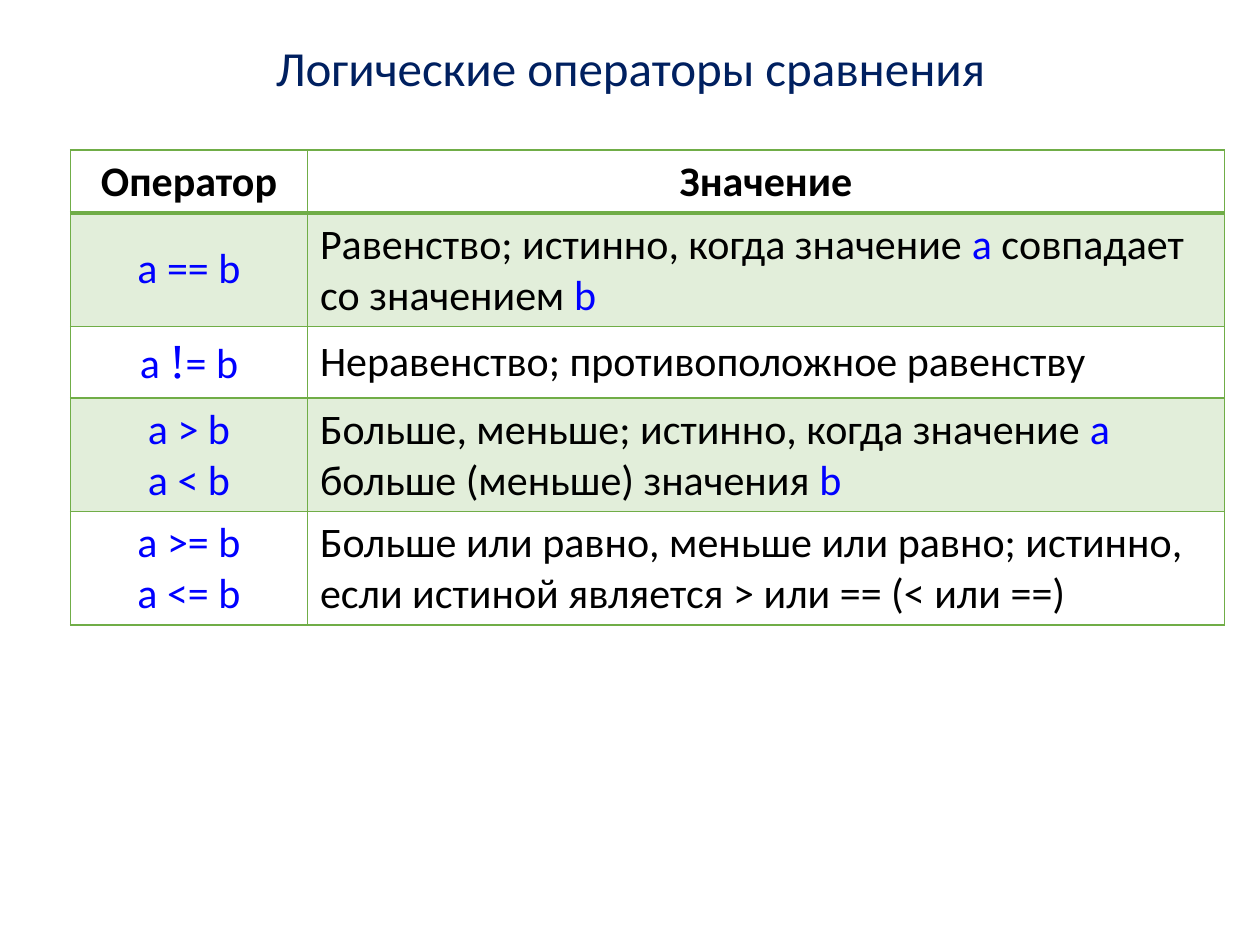
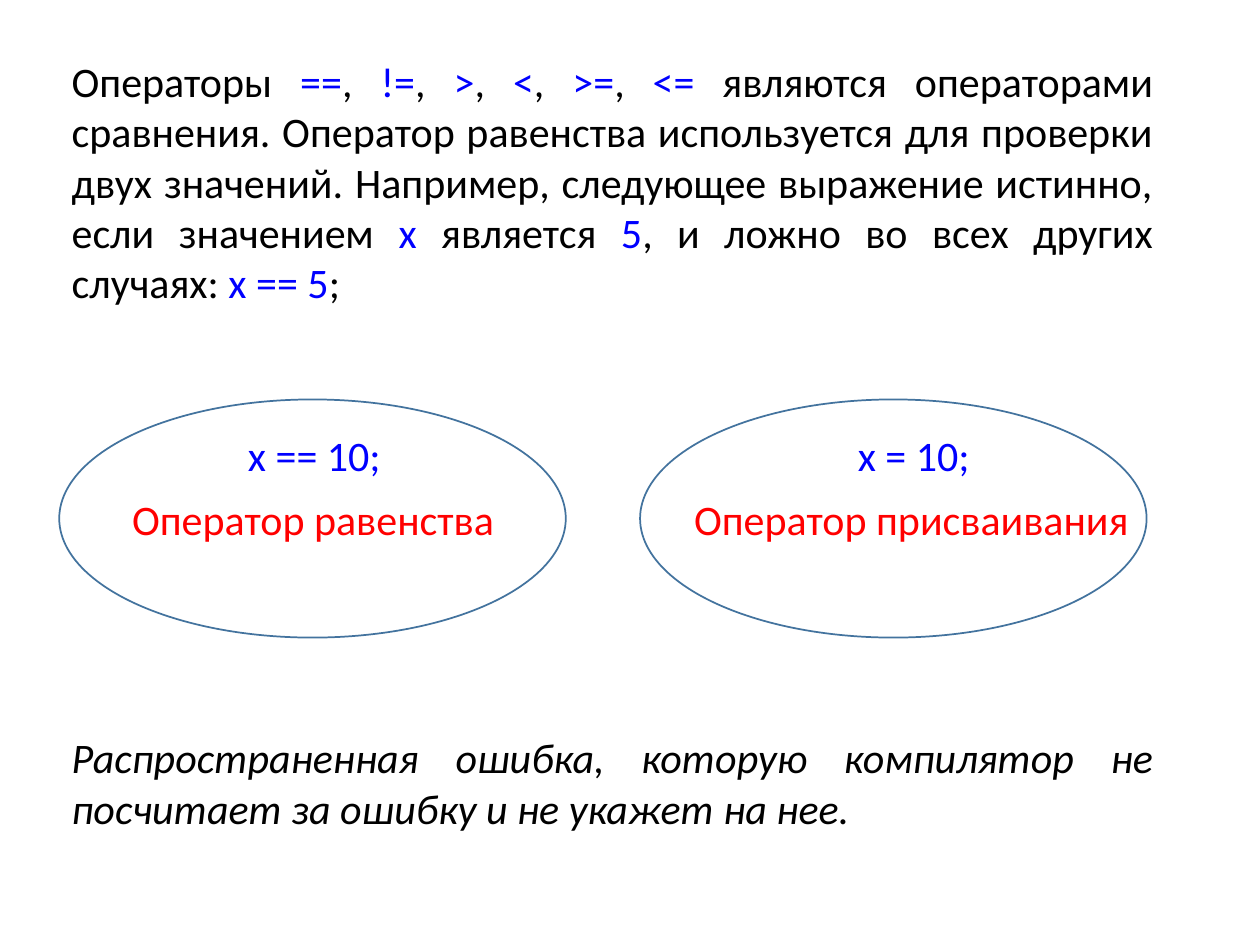
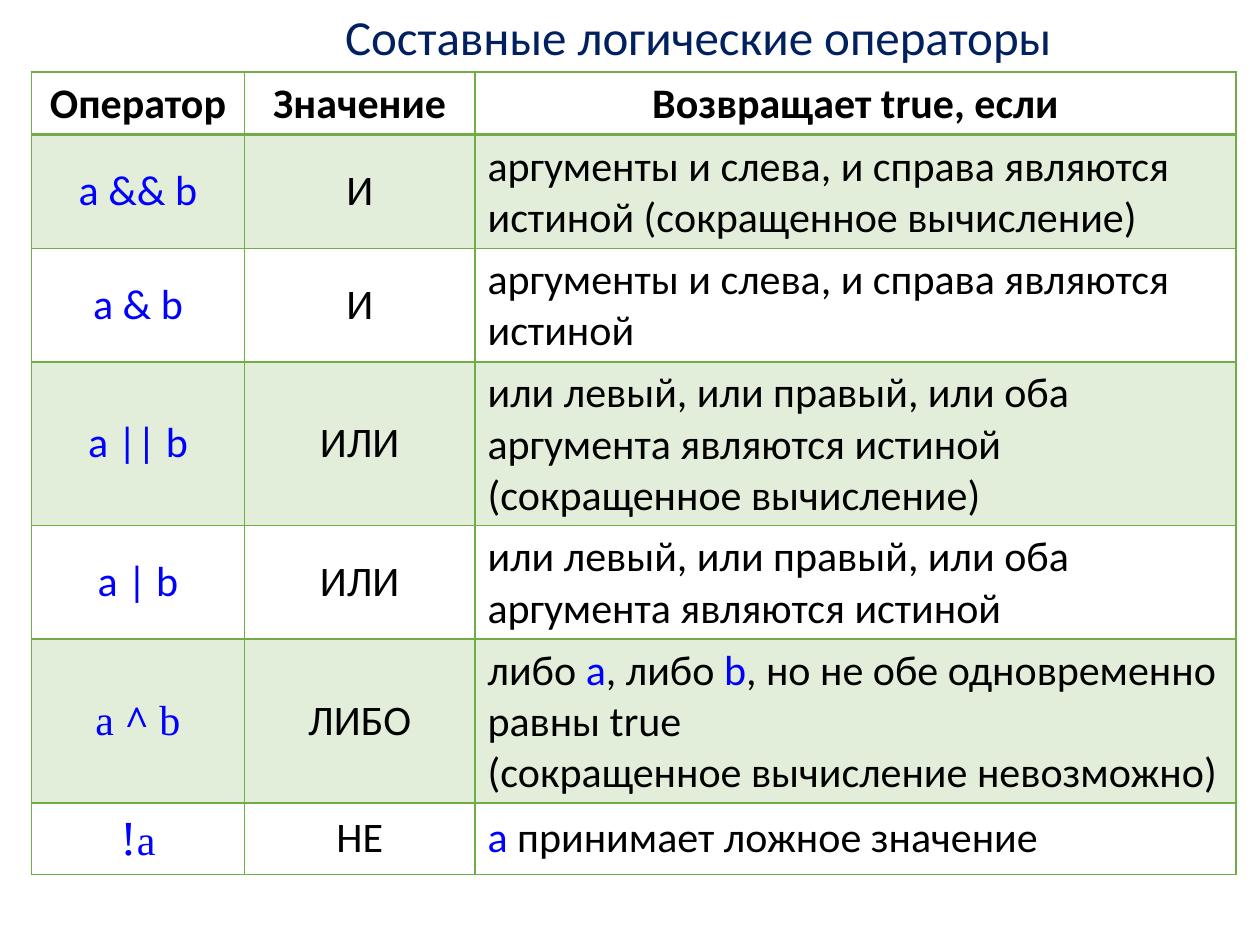
from dataclasses import dataclass

from lxml.etree import SubElement
from pptx import Presentation
from pptx.dml.color import RGBColor
from pptx.enum.shapes import MSO_SHAPE as Shape
from pptx.enum.text import MSO_ANCHOR as Anchor, MSO_AUTO_SIZE as AutoSize, PP_ALIGN as Align
from pptx.oxml.ns import qn
from pptx.util import Inches, Pt

COLORS = {
    "title": "002060",
    "body": "000000",
    "code": "0000FF",
    "caption": "FF0000",
    "grid": "70AD47",
    "outline": "43739E",
}
BAND_OPACITY = 20


@dataclass
class TextStyle:
    color: str = "body"
    size: int = 24
    font: str = "Calibri"
    bold: bool = False
    italic: bool = False


STYLES = {
    "title": TextStyle("title", 28),
    "body": TextStyle(),
    "head": TextStyle(bold=True),
    "note": TextStyle(italic=True),
    "code": TextStyle("code"),
    "serif": TextStyle("code", font="Times New Roman"),
    "serif bold": TextStyle("code", font="Times New Roman", bold=True),
    "bang": TextStyle("code", 28, "Times New Roman"),
    "caption": TextStyle("caption"),
}


def rgb(name):
    return RGBColor.from_string(COLORS[name])


def body(text):
    return (text, "body")


def code(text):
    return (text, "code")


class Deck:
    def __init__(self):
        self.prs = Presentation()
        self.prs.slide_width, self.prs.slide_height = Inches(10), Inches(7.5)
        self.slide = None

    def new_slide(self):
        self.slide = self.prs.slides.add_slide(self.prs.slide_layouts[6])

    def add_runs(self, paragraph, runs, align):
        paragraph.alignment = align
        for text, style_name in runs:
            style = STYLES[style_name]
            run = paragraph.add_run()
            run.text = text
            run.font.name = style.font
            run.font.size = Pt(style.size)
            run.font.bold = style.bold
            run.font.italic = style.italic
            run.font.color.rgb = rgb(style.color)

    def text(self, left, top, width, height, runs, align=Align.JUSTIFY, wrap=False):
        box = self.slide.shapes.add_textbox(Inches(left), Inches(top), Inches(width), Inches(height))
        box.text_frame.word_wrap = wrap
        box.text_frame.auto_size = AutoSize.SHAPE_TO_FIT_TEXT
        self.add_runs(box.text_frame.paragraphs[0], runs, align)

    def title(self, left, top, width, text):
        self.text(left, top, width, 0.57, [(text, "title")], Align.LEFT)

    def ellipse(self, left, top, width, height):
        oval = self.slide.shapes.add_shape(
            Shape.OVAL, Inches(left), Inches(top), Inches(width), Inches(height))
        oval.shadow.inherit = False
        oval.fill.background()
        oval.line.color.rgb = rgb("outline")
        oval.line.width = Pt(1)

    def borders(self, cell, top, bottom):
        properties = cell._tc.get_or_add_tcPr()
        widths = {"a:lnL": 1, "a:lnR": 1, "a:lnT": top, "a:lnB": bottom}
        for position, (tag, width) in enumerate(widths.items()):
            line = SubElement(properties, qn(tag), w=str(Pt(width)))
            fill = SubElement(line, qn("a:solidFill"))
            SubElement(fill, qn("a:srgbClr"), val=COLORS["grid"])
            properties.insert(position, line)

    def paint(self, cell, banded):
        if not banded:
            cell.fill.background()
            return
        cell.fill.solid()
        cell.fill.fore_color.rgb = rgb("grid")
        tint = cell._tc.tcPr.find(".//" + qn("a:srgbClr"))
        SubElement(tint, qn("a:alpha"), val=str(BAND_OPACITY * 1000))

    def table(self, left, top, height, widths, headings, rows):
        header = [[[(heading, "head")]] for heading in headings]
        content = [header] + rows
        frame = self.slide.shapes.add_table(
            len(content), len(widths), Inches(left), Inches(top), Inches(sum(widths)), Inches(height))
        grid = frame.table
        grid.first_row = grid.horz_banding = False
        for column, width in zip(grid.columns, widths):
            column.width = Inches(width)
        for row in grid.rows:
            row.height = Inches(0.41)
        frame.height = Inches(height)
        for r, cells in enumerate(content):
            for c, paragraphs in enumerate(cells):
                cell = grid.cell(r, c)
                cell.vertical_anchor = Anchor.MIDDLE
                self.paint(cell, r % 2 == 1)
                self.borders(cell, 2 if r == 1 else 1, 2 if r == 0 else 1)
                explanation = r > 0 and c == len(widths) - 1
                align = Align.LEFT if explanation else Align.CENTER
                for p, runs in enumerate(paragraphs):
                    frame_text = cell.text_frame
                    paragraph = frame_text.add_paragraph() if p else frame_text.paragraphs[0]
                    self.add_runs(paragraph, runs, align)


def comparison_operators(deck):
    deck.new_slide()
    deck.title(2.09, 0.25, 5.89, "Логические операторы сравнения")
    deck.table(0.56, 1.19, 3.77, [1.88, 7.28], ["Оператор", "Значение"], [
        [[[code("a == b")]],
         [[body("Равенство; истинно, когда значение "), code("a"),
           body(" совпадает со значением "), code("b")]]],
        [[[code("a "), ("!", "bang"), code("= b")]],
         [[body("Неравенство; противоположное равенству")]]],
        [[[code("a > b")], [code("a < b")]],
         [[body("Больше, меньше; истинно, когда значение "), code("a"),
           body(" больше (меньше) значения "), code("b")]]],
        [[[code("a >= b")], [code("a <= b")]],
         [[body("Больше или равно, меньше или равно; истинно, "
                "если истиной является > или == (< или ==)")]]],
    ])


def equality_and_assignment(deck):
    deck.new_slide()
    operators = [code("==")]
    for operator in ["!=", ">", "<", ">=", "<="]:
        operators += [body(", "), code(operator)]
    deck.text(0.47, 0.39, 8.78, 2.12, [
        body("Операторы "), *operators,
        body(" являются операторами сравнения. Оператор равенства используется "
             "для проверки двух значений. Например, следующее выражение истинно, "
             "если значением "),
        code("x "), body("является "), code("5"),
        body(", и ложно во всех других случаях: "), code("x == 5"), body(";"),
    ], wrap=True)
    examples = [
        (0.47, "x == 10;", 1.87, 1.26, "Оператор равенства", 0.95, 3.1),
        (5.08, "x = 10;", 6.71, 1.1, "Оператор присваивания", 5.41, 3.69),
    ]
    for oval_left, example, example_left, example_width, name, name_left, name_width in examples:
        deck.text(example_left, 3.36, example_width, 0.5, [code(example)])
        deck.text(name_left, 3.87, name_width, 0.5, [(name, "caption")])
        deck.ellipse(oval_left, 3.17, 4.02, 1.89)
    deck.text(0.47, 5.76, 8.78, 0.91, [
        ("Распространенная ошибка, которую компилятор не посчитает за ошибку "
         "и не укажет на нее.", "note"),
    ], wrap=True)


def compound_operators(deck):
    deck.new_slide()
    deck.title(2.64, 0, 5.87, "Составные логические операторы")
    both = "аргументы и слева, и справа являются истиной"
    either = "или левый, или правый, или оба аргумента являются истиной"
    short_circuit = " (сокращенное вычисление)"
    binary_rows = [
        [[[code(expression)]], [[body(meaning)]], [[body(condition)]]]
        for expression, meaning, condition in [
            ("a && b", "И", both + short_circuit),
            ("a & b", "И", both),
            ("a || b", "ИЛИ", either + short_circuit),
            ("a | b", "ИЛИ", either),
        ]
    ]
    deck.table(0.25, 0.57, 6.37, [1.69, 1.83, 6.04],
               ["Оператор", "Значение", "Возвращает true, если"], binary_rows + [
        [[[("a ", "serif"), ("^", "serif bold"), (" b", "serif")]],
         [[body("ЛИБО")]],
         [[body("либо "), code("a"), body(", либо "), code("b"),
           body(", но не обе одновременно равны true")],
          [body("(сокращенное вычисление невозможно)")]]],
        [[[("!", "bang"), ("a", "serif")]],
         [[body("НЕ")]],
         [[code("a"), body(" принимает ложное значение")]]],
    ])


def main():
    deck = Deck()
    comparison_operators(deck)
    equality_and_assignment(deck)
    compound_operators(deck)
    deck.prs.save("out.pptx")


if __name__ == "__main__":
    main()
